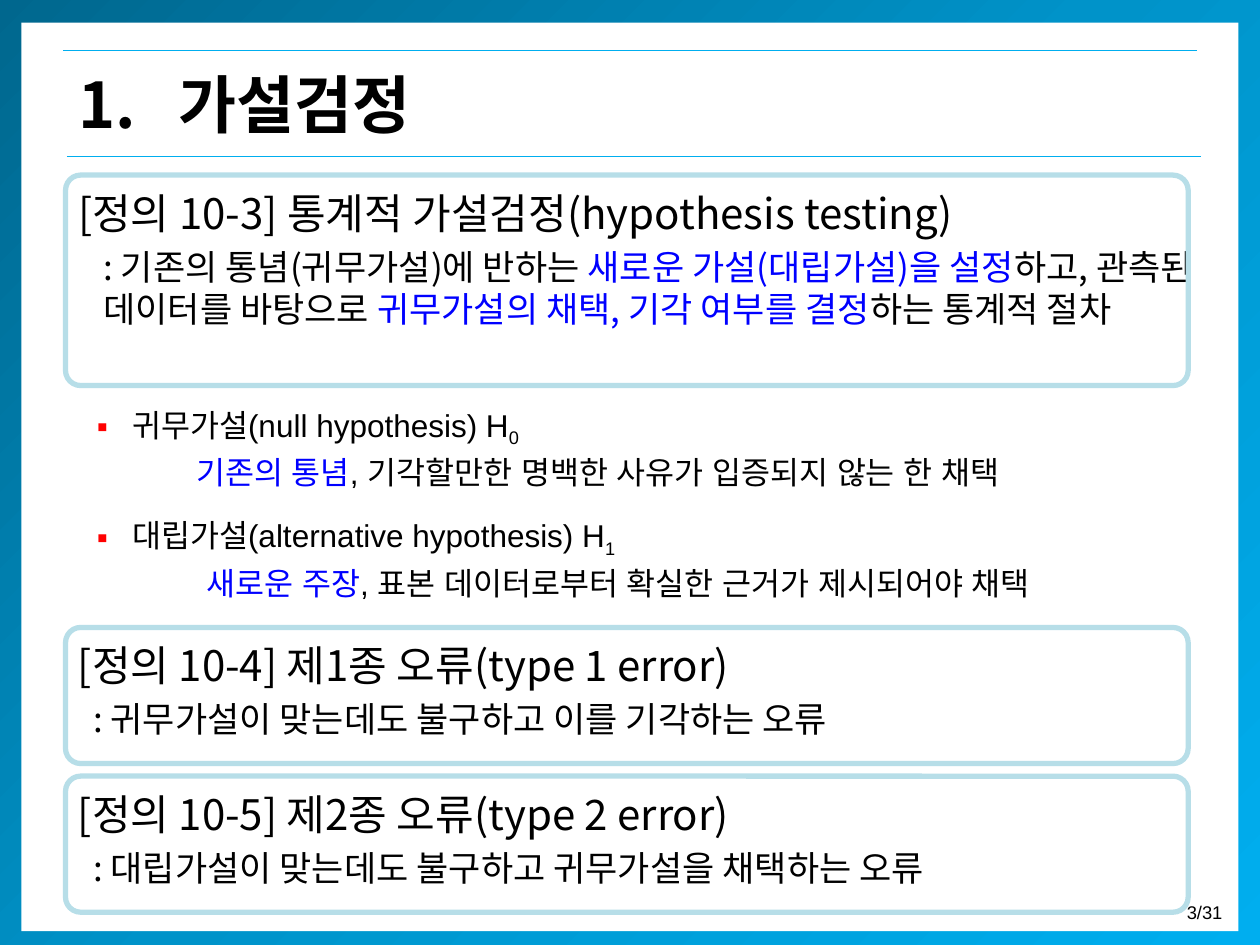
from lxml import etree
from pptx import Presentation
from pptx import util as u
from pptx.dml.color import RGBColor
from pptx.enum import shapes, text
from pptx.oxml import parse_xml
from pptx.oxml.ns import nsdecls, qn

PX = 9144
BLACK, BLUE, RED, WHITE = "000000", "0000FF", "FF0000", "FFFFFF"
SKY, PALE = "00AEEF", "B7DEE8"
HANGUL, LATIN = "Noto Sans CJK KR", "Arial"


def px(length):
    return u.Emu(length * PX)


def color(value):
    return RGBColor.from_string(value)


class SlideBuilder:
    def __init__(self, slide):
        self.slide = slide
        self.shapes = slide.shapes

    def place(self, shape, box):
        for name, value in zip(("left", "top", "width", "height"), box):
            setattr(shape, name, px(value))

    def rectangle(self, box, fill=None, line=None, radius=None):
        kind = shapes.MSO_SHAPE.RECTANGLE if radius is None else shapes.MSO_SHAPE.ROUNDED_RECTANGLE
        shape = self.shapes.add_shape(kind, *map(px, box))
        shape.shadow.inherit = False
        if radius is not None:
            shape.adjustments[0] = radius / box[3]
        if fill:
            shape.fill.solid()
            shape.fill.fore_color.rgb = color(fill)
        else:
            shape.fill.background()
        if line:
            shape.line.color.rgb = color(line)
            shape.line.width = u.Pt(3)
        else:
            shape.line.fill.background()
        return shape

    def gradient(self, box, stops, angle):
        shape = self.rectangle(box, WHITE)
        marks = "".join(
            f'<a:gs pos="{place * 1000}"><a:srgbClr val="{value}"/></a:gs>' for place, value in stops
        )
        fill = parse_xml(
            f'<a:gradFill {nsdecls("a")}><a:gsLst>{marks}</a:gsLst>'
            f'<a:lin ang="{angle * 60000}" scaled="0"/></a:gradFill>'
        )
        properties = shape._element.spPr
        properties.replace(properties.find(qn("a:solidFill")), fill)

    def rule(self, left, top, width):
        line = self.shapes.add_connector(
            shapes.MSO_CONNECTOR.STRAIGHT, px(left), px(top), px(left + width), px(top)
        )
        line.line.color.rgb = color(SKY)
        line.line.width = u.Pt(0.75)
        etree.SubElement(line._element.spPr, qn("a:effectLst"))

    def textbox(self, box, wrap=True):
        shape = self.shapes.add_textbox(*map(px, box))
        shape.text_frame.word_wrap = wrap
        return shape

    def placeholder(self, index, box):
        shape = self.slide.placeholders[index]
        self.place(shape, box)
        self.shapes._spTree.append(shape._element)
        shape.text_frame.word_wrap = True
        shape.text_frame.auto_size = text.MSO_AUTO_SIZE.NONE
        return shape

    def paragraph(self, shape, runs, size, font=LATIN, bold=False, margin=0, indent=0, bullet=None, **formats):
        frame = shape.text_frame
        paragraph = frame.paragraphs[0]
        if paragraph.runs:
            paragraph = frame.add_paragraph()
        settings = {"alignment": text.PP_ALIGN.LEFT, "space_before": u.Pt(0), **formats}
        for name, value in settings.items():
            setattr(paragraph, name, value)
        properties = paragraph._p.get_or_add_pPr()
        properties.set("marL", str(px(margin)))
        properties.set("indent", str(px(indent)))
        if bullet:
            tint = etree.SubElement(properties, qn("a:buClr"))
            etree.SubElement(tint, qn("a:srgbClr"), val=RED)
            etree.SubElement(properties, qn("a:buFont"), typeface=LATIN)
            etree.SubElement(properties, qn("a:buChar"), char=bullet)
        else:
            etree.SubElement(properties, qn("a:buNone"))
        for words, value, *baseline in runs:
            run = paragraph.add_run()
            run.text = words
            for name, setting in {"size": u.Pt(size), "name": font, "bold": bold}.items():
                setattr(run.font, name, setting)
            run.font.color.rgb = color(value)
            run_properties = run._r.get_or_add_rPr()
            if font == LATIN:
                etree.SubElement(run_properties, qn("a:ea"), typeface=LATIN)
            if baseline:
                run_properties.set("baseline", str(baseline[0] * 1000))

    def definition(self, shape, heading, runs, margin):
        self.paragraph(shape, [(heading, BLACK)], 24, HANGUL)
        self.paragraph(shape, runs, 20, HANGUL, margin=margin, space_before=u.Pt(4))

    def frame(self, top, height):
        self.rectangle((52, top, 891, height), line=PALE, radius=12)

    def hypothesis(self, top, name, index, left, claim, rest):
        heading = self.textbox((67, top, 528, 40))
        self.paragraph(
            heading, [(name, BLACK), (index, BLACK, -25)], 18, margin=28, indent=-28, bullet="▪"
        )
        detail = self.textbox((left, top + 38, 973 - left, 40))
        self.paragraph(detail, [(claim, BLUE), (rest, BLACK)], 18)


def main():
    presentation = Presentation()
    presentation.slide_width, presentation.slide_height = px(1000), px(750)
    slide = presentation.slides.add_slide(presentation.slide_layouts[1])
    for placeholder in list(slide.placeholders):
        if placeholder.placeholder_format.idx > 1:
            placeholder._element.getparent().remove(placeholder._element)
    builder = SlideBuilder(slide)

    builder.gradient((0, -4, 1000, 759), [(0, "00678E"), (50, "0093C9"), (100, SKY)], 45)
    builder.rectangle((17, 18, 966, 721), WHITE)
    number = builder.textbox((918, 710, 62, 29), wrap=False)
    builder.paragraph(number, [("3/31", BLACK)], 10.5, alignment=text.PP_ALIGN.RIGHT)
    builder.rule(50, 40, 900)
    builder.rule(53, 124, 900)

    title = builder.placeholder(0, (52, 40, 907, 84))
    title.text_frame.vertical_anchor = text.MSO_ANCHOR.MIDDLE
    builder.paragraph(
        title, [("1.\t가설검정", BLACK)], 36, HANGUL, bold=True, margin=80, indent=-80
    )

    body = builder.placeholder(1, (52, 144, 920, 173))
    builder.definition(body, "[정의 10-3] 통계적 가설검정(hypothesis testing)", [
        (": 기존의 통념(귀무가설)에 반하는 ", BLACK),
        ("새로운 가설(대립가설)을 설정", BLUE),
        ("하고, 관측된 데이터를 바탕으로 ", BLACK),
        ("귀무가설의 채택, 기각 여부를 결정", BLUE),
        ("하는 통계적 절차", BLACK),
    ], 20)
    builder.frame(139, 167)

    errors = [
        ("[정의 10-4] 제1종 오류(type 1 error)", ": 귀무가설이 맞는데도 불구하고 이를 기각하는 오류"),
        ("[정의 10-5] 제2종 오류(type 2 error)", ": 대립가설이 맞는데도 불구하고 귀무가설을 채택하는 오류"),
    ]
    for row, (heading, meaning) in enumerate(errors):
        top = 498 + row * 118
        box = builder.textbox((52, top + 5, 920, 103))
        builder.definition(box, heading, [(meaning, BLACK)], 12)
        builder.frame(top, 108)

    builder.hypothesis(
        317, "귀무가설(null hypothesis) H", "0", 146,
        "기존의 통념", ", 기각할만한 명백한 사유가 입증되지 않는 한 채택",
    )
    builder.hypothesis(
        405, "대립가설(alternative hypothesis) H", "1", 154,
        "새로운 주장", ", 표본 데이터로부터 확실한 근거가 제시되어야 채택",
    )
    presentation.save("out.pptx")


if __name__ == "__main__":
    main()
